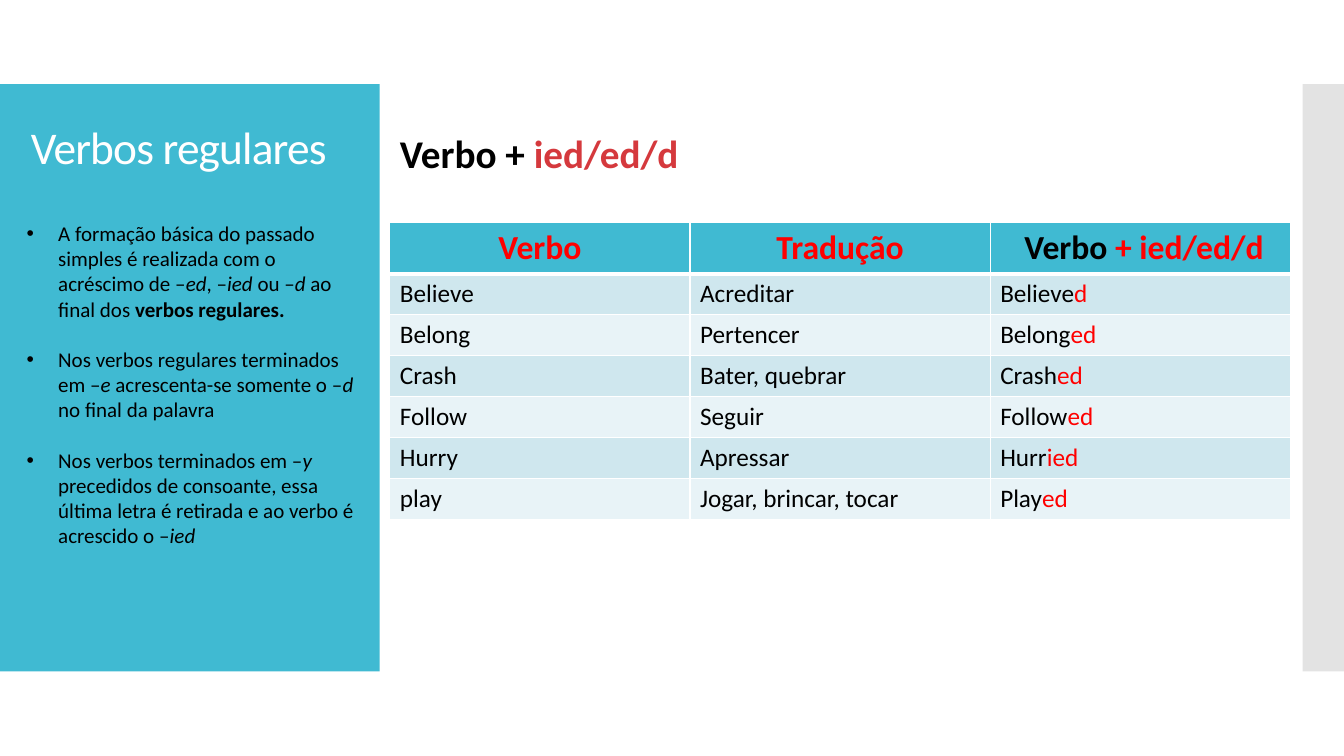
from lxml.etree import SubElement
from pptx import Presentation
from pptx.dml.color import RGBColor
from pptx.enum.shapes import MSO_SHAPE as Shape
from pptx.enum.text import MSO_ANCHOR as Anchor, PP_ALIGN as Align
from pptx.oxml.ns import qn
from pptx.util import Pt

FONT = "Calibri"
COLORS = {
    "teal": "40BAD2", "gray": "C8C8C8", "white": "FFFFFF", "black": "000000",
    "red": "FF0000", "crimson": "D5393D", "band_dark": "CFE7EE", "band_light": "E8F3F7",
}
# Each rule is a list of (text, style); no-break spaces hold short endings to the next word
RULES = [
    [("A formação básica do passado simples é realizada com o acréscimo de –", ""),
     ("ed", "italic"), (", –", ""), ("ied ", "italic"), ("ou –", ""), ("d ", "italic"),
     ("ao final dos ", ""), ("verbos regulares.", "bold")],
    [("Nos verbos regulares terminados em –", ""), ("e ", "italic"),
     ("acrescenta-se somente o –", ""), ("d ", "italic"), ("no final da palavra", "")],
    [("Nos verbos terminados em –", ""), ("y ", "italic"),
     ("precedidos de consoante, essa última letra é retirada e ao verbo é acrescido o –", ""),
     ("ied", "italic")],
]
# Verb, translation, stem and ending of the past form
VERBS = [
    ("Believe", "Acreditar", "Believe", "d"),
    ("Belong", "Pertencer", "Belong", "ed"),
    ("Crash", "Bater, quebrar", "Crash", "ed"),
    ("Follow", "Seguir", "Follow", "ed"),
    ("Hurry", "Apressar", "Hurr", "ied"),
    ("play", "Jogar, brincar, tocar", "Play", "ed"),
]


def rgb(name):
    return RGBColor.from_string(COLORS[name])


def add_span(para, text, size, color="black", style=""):
    span = para.add_run()
    span.text = text
    font = span.font
    font.name, font.size = FONT, Pt(size)
    font.bold, font.italic = style == "bold", style == "italic"
    font.color.rgb = rgb(color)
    return span


def add_text_frame(page, left, top, width, height):
    box = page.shapes.add_textbox(Pt(left), Pt(top), Pt(width), Pt(height))
    box.text_frame.word_wrap = True
    return box.text_frame


def add_panel(page, left, top, width, height, color):
    panel = page.shapes.add_shape(Shape.RECTANGLE, Pt(left), Pt(top), Pt(width), Pt(height))
    panel.shadow.inherit = False
    panel.fill.solid()
    panel.fill.fore_color.rgb = rgb(color)
    panel.line.fill.background()
    return panel


def add_bullet(para, indent):
    props = para._p.get_or_add_pPr()
    props.set("marL", str(Pt(indent)))
    props.set("indent", str(-Pt(indent)))
    SubElement(props, qn("a:buFont"), typeface="Arial")
    SubElement(props, qn("a:buChar"), char="•")


def add_sidebar(page, left, top, width, height):
    add_panel(page, left, top, width, height, "teal")
    # Title
    frame = add_text_frame(page, left + 15, top + 23, width - 30, 48)
    frame.vertical_anchor = Anchor.MIDDLE
    para = frame.paragraphs[0]
    para.line_spacing = 0.9
    span = add_span(para, "Verbos regulares", 32.4, "white")
    span.font._element.set("spc", "-60")
    # Rules
    frame = add_text_frame(page, left + 12, top + 94, 250.5, 243)
    for number, rule in enumerate(RULES):
        para = frame.add_paragraph() if number else frame.paragraphs[0]
        add_bullet(para, 22.5)
        if number:
            para.space_before = Pt(18)
        for text, style in rule:
            add_span(para, text, 15, style=style)


def add_edge_strip(page, left, top, width, height):
    strip = add_panel(page, left, top, width, height, "gray")
    color = strip._element.spPr.find(qn("a:solidFill"))[0]
    SubElement(color, qn("a:alpha"), val="50000")


def add_heading(page, left, top, width, height):
    para = add_text_frame(page, left, top, width, height).paragraphs[0]
    add_span(para, "Verbo + ", 28, style="bold")
    add_span(para, "ied/ed/d", 28, "crimson", "bold")


def style_cell(cell, fill, top_width, bottom_width):
    props = cell._tc.get_or_add_tcPr()
    for side, weight in (("L", 1), ("R", 1), ("T", top_width), ("B", bottom_width)):
        line = SubElement(props, qn(f"a:ln{side}"), w=str(Pt(weight)))
        solid = SubElement(line, qn("a:solidFill"))
        SubElement(solid, qn("a:srgbClr"), val=COLORS["white"])
    cell.fill.solid()
    cell.fill.fore_color.rgb = rgb(fill)


def add_verb_table(page, left, top, width, header_height, row_height):
    header = [[("Verbo", "red")], [("Tradução", "red")],
              [("Verbo ", "black"), ("+ ied/ed/d", "red")]]
    body = [[[(verb, "black")], [(meaning, "black")], [(stem, "black"), (ending, "red")]]
            for verb, meaning, stem, ending in VERBS]
    rows = [header] + body
    height = header_height + row_height * len(body)
    table = page.shapes.add_table(len(rows), len(header), Pt(left), Pt(top),
                                  Pt(width), Pt(height)).table
    for column in table.columns:
        column.width = Pt(width / len(header))
    for r, row in enumerate(rows):
        is_header = r == 0
        table.rows[r].height = Pt(header_height if is_header else row_height)
        fill = "teal" if is_header else ("band_light", "band_dark")[r % 2]
        for c, spans in enumerate(row):
            cell = table.cell(r, c)
            style_cell(cell, fill, 3 if r == 1 else 1, 3 if is_header else 1)
            para = cell.text_frame.paragraphs[0]
            para.alignment = Align.CENTER if is_header else Align.LEFT
            for text, color in spans:
                add_span(para, text, 24 if is_header else 18, color,
                         "bold" if is_header else "")
    # The last header sits slightly right of centre
    table.cell(0, len(header) - 1).margin_left = Pt(12.6)


def main():
    deck = Presentation()
    deck.slide_width, deck.slide_height = Pt(960), Pt(540)
    page = deck.slides.add_slide(deck.slide_layouts[6])
    add_sidebar(page, 0, 60, 271.2, 419.5)
    add_edge_strip(page, 930.5, 60, 29.5, 419.5)
    add_heading(page, 278.5, 88.5, 474, 41)
    add_verb_table(page, 278.5, 159.2, 643.2, 36.5, 29.25)
    deck.save("out.pptx")


if __name__ == "__main__":
    main()
